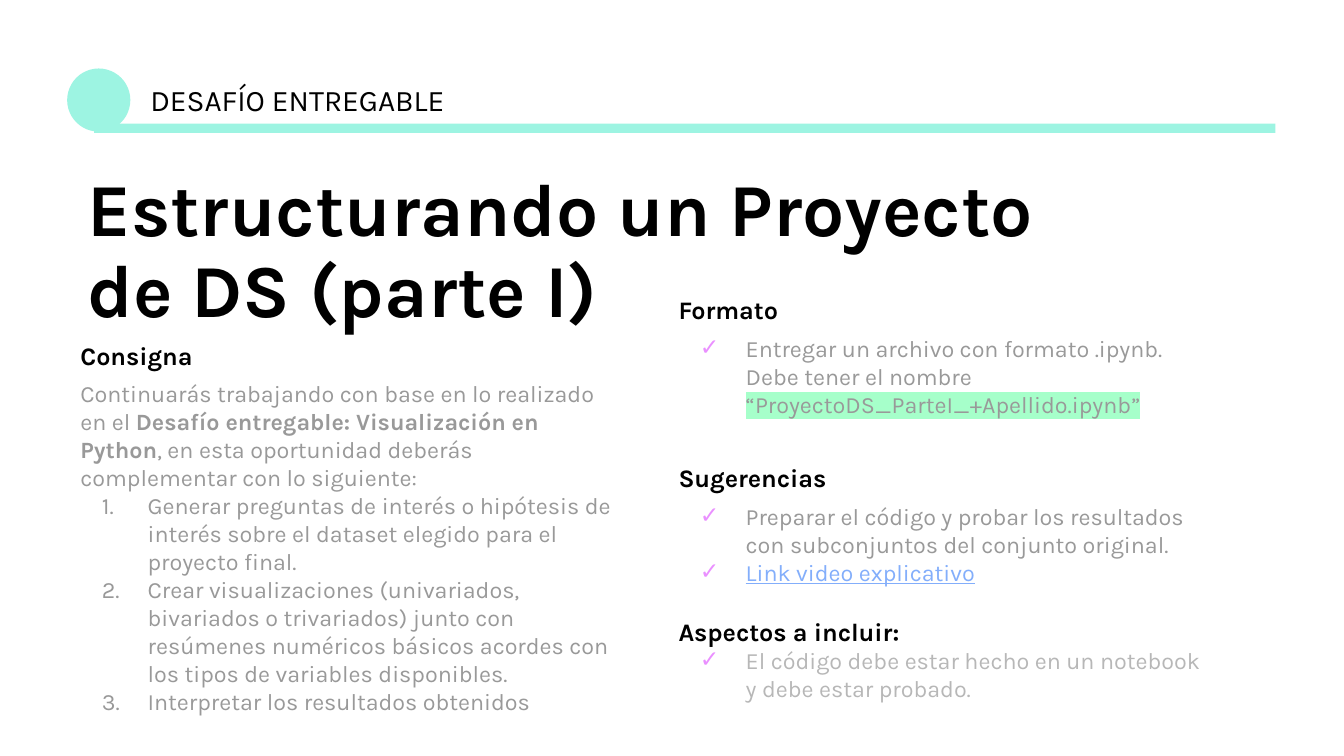
from lxml.etree import SubElement
from pptx import Presentation
from pptx.dml.color import RGBColor
from pptx.enum.shapes import MSO_SHAPE as Shape
from pptx.enum.text import MSO_ANCHOR as Anchor, MSO_AUTO_SIZE as Fit, PP_ALIGN as Align
from pptx.oxml import parse_xml
from pptx.oxml.ns import nsdecls, qn
from pptx.util import Inches, Pt

MINT, GREEN, PINK, BLUE = "9DF4E2", "A6FFCA", "EA90FF", "83AEFB"
BLACK, GREY, PALE = "000000", "999999", "B7B7B7"


def color(code):
    return RGBColor.from_string(code)


def run(text, size=12.5, tint=GREY, bold=False, line=False, mark=None):
    return dict(text=text, size=size, tint=tint, bold=bold, line=line, mark=mark)


def para(*runs, bullet=None, before=0, after=0, pitch=1.0):
    return dict(runs=runs, bullet=bullet, before=before, after=after, pitch=pitch)


def head(text, **gaps):
    return para(run(text, size=13.5, tint=BLACK, bold=True), **gaps)


def step(text):
    return para(run(text), bullet="1.")


def check(*runs):
    return para(*runs, bullet="✓")


class Deck:
    font = "Karla"

    def __init__(self, width, height):
        self.show = Presentation()
        self.show.slide_width = Inches(width)
        self.show.slide_height = Inches(height)
        self.slide = self.show.slides.add_slide(self.show.slide_layouts[5])

    def shape(self, kind, box, fill):
        item = self.slide.shapes.add_shape(kind, *map(Inches, box))
        item.shadow.inherit = False
        item.fill.solid()
        item.fill.fore_color.rgb = color(fill)
        item.line.fill.background()

    def title(self, box, *paras):
        item = self.slide.shapes.title
        item.left, item.top, item.width, item.height = map(Inches, box)
        self.fill(item.text_frame, paras)

    def text(self, box, *paras):
        item = self.slide.shapes.add_textbox(*map(Inches, box))
        self.fill(item.text_frame, paras)

    def fill(self, frame, paras):
        frame.word_wrap = True
        frame.auto_size = Fit.NONE
        frame.vertical_anchor = Anchor.TOP
        frame.margin_left = frame.margin_right = Inches(0.1)
        frame.margin_top = frame.margin_bottom = Inches(0.1)
        for i, data in enumerate(paras):
            p = frame.paragraphs[0] if i == 0 else frame.add_paragraph()
            if data["bullet"]:
                self.bullet(p, data["bullet"])
            p.alignment = Align.LEFT
            p.line_spacing = data["pitch"]
            p.space_before = Pt(data["before"])
            p.space_after = Pt(data["after"])
            for part in data["runs"]:
                self.run(p, **part)

    def bullet(self, p, sign):
        props = p._p.get_or_add_pPr()
        props.set("marL", str(Inches(0.5)))
        props.set("indent", str(Inches(-0.34)))
        number = sign == "1."
        tint = SubElement(props, qn("a:buClr"))
        SubElement(tint, qn("a:srgbClr")).set("val", GREY if number else PINK)
        SubElement(props, qn("a:buFont")).set("typeface", self.font)
        if number:
            SubElement(props, qn("a:buAutoNum")).set("type", "arabicPeriod")
        else:
            SubElement(props, qn("a:buChar")).set("char", sign)

    def run(self, p, text, size, tint, bold, line, mark):
        r = p.add_run()
        r.text = text
        r.font.size = Pt(size)
        r.font.bold = bold
        r.font.underline = line
        r.font.color.rgb = color(tint)
        r.font.name = self.font
        if mark:
            fill = r._r.get_or_add_rPr().find(qn("a:solidFill"))
            fill.addnext(parse_xml(
                f'<a:highlight {nsdecls("a")}><a:srgbClr val="{mark}"/></a:highlight>'))


def main():
    deck = Deck(10, 10 * 9 / 16)
    deck.shape(Shape.OVAL, (0.5, 0.51, 0.47, 0.47), MINT)
    deck.text(
        (0.5, 2.43, 4.19, 3.25),
        head("Consigna", after=5),
        para(run("Continuarás trabajando con base en lo realizado en el "),
             run("Desafío entregable: Visualización en Python", bold=True),
             run(", en esta oportunidad deberás complementar con lo siguiente:")),
        step("Generar preguntas de interés o hipótesis de interés sobre el "
             "dataset elegido para el proyecto final."),
        step("Crear visualizaciones (univariados, bivariados o trivariados) junto "
             "con resúmenes numéricos básicos acordes con los tipos de variables "
             "disponibles."),
        step("Interpretar los resultados obtenidos"))
    deck.title((0.55, 1.18, 7.99, 1.41),
               para(run("Estructurando un Proyecto de DS (parte I)",
                        size=40, tint=BLACK, bold=True), pitch=0.9))
    deck.text((1.02, 0.51, 2.69, 0.47),
              para(run("DESAFÍO ENTREGABLE", size=16, tint=BLACK)))
    deck.text(
        (4.95, 2.09, 4.19, 3.51),
        head("Formato", after=5),
        check(run("Entregar un archivo con formato .ipynb. Debe tener el nombre "),
              run("“ProyectoDS_ParteI_+Apellido.ipynb”", mark=GREEN)),
        head("Sugerencias", before=24, after=5),
        check(run("Preparar el código y probar los resultados con subconjuntos "
                  "del conjunto original.")),
        check(run("Link video explicativo", tint=BLUE, line=True)),
        head("Aspectos a incluir:", before=16),
        check(run("El código debe estar hecho en un notebook y debe estar probado.",
                  tint=PALE)))
    deck.shape(Shape.RECTANGLE, (0.7, 0.92, 8.79, 0.07), MINT)
    deck.show.save("out.pptx")


if __name__ == "__main__":
    main()
